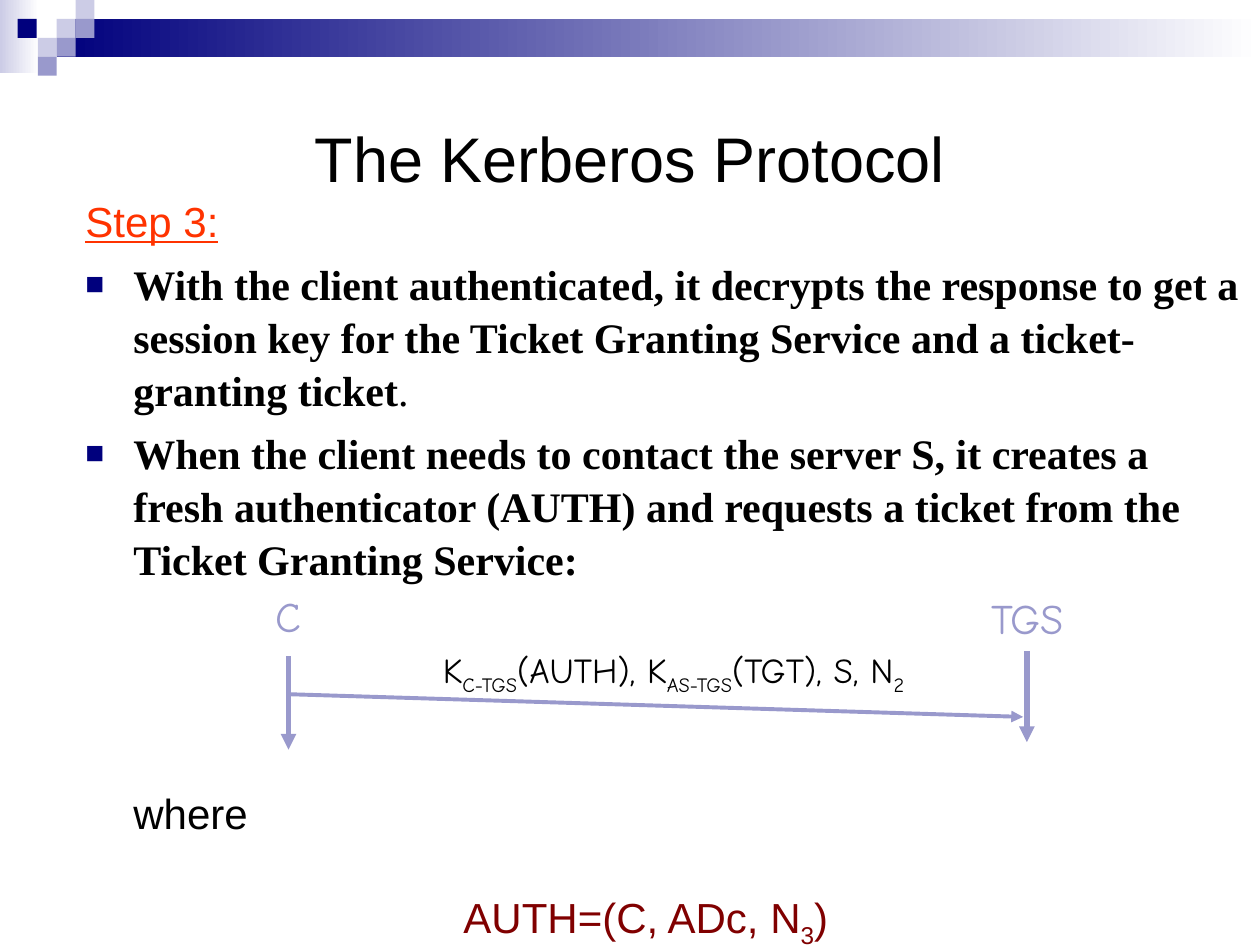
from lxml.etree import SubElement
from pptx import Presentation
from pptx.dml.color import RGBColor
from pptx.enum.shapes import MSO_CONNECTOR, MSO_SHAPE
from pptx.enum.text import MSO_ANCHOR, MSO_AUTO_SIZE, PP_ALIGN
from pptx.oxml.ns import qn
from pptx.util import Inches, Pt

COLORS = {
    "black": "000000",
    "navy": "00007D",
    "lilac": "9999CC",
    "pale": "CCCCE6",
    "white": "FFFFFF",
    "orange": "FF3300",
    "maroon": "800000",
}


def rgb(name):
    return RGBColor.from_string(COLORS[name])


def add_run(p, text, size=24, font="Arial", color="black", bold=False, underline=False, sub=False):
    r = p.add_run()
    r.text = text
    r.font.size = Pt(size)
    r.font.name = font
    r.font.color.rgb = rgb(color)
    r.font.bold = bold
    r.font.underline = underline
    if sub:
        r._r.get_or_add_rPr().set("baseline", "-25000")
    return r


class SlideBuilder:
    serif = "Times New Roman"
    hand = "Comic Neue"
    indent = 0.38

    def __init__(self, prs):
        self.slide = prs.slides.add_slide(prs.slide_layouts[5])

    def rect(self, left, top, width, height, color, fade_to=None):
        sp = self.slide.shapes.add_shape(
            MSO_SHAPE.RECTANGLE, Inches(left), Inches(top), Inches(width), Inches(height))
        sp.shadow.inherit = False
        sp.line.fill.background()
        if fade_to:
            sp.fill.gradient()
            sp.fill.gradient_angle = 0
            for stop, name in zip(sp.fill.gradient_stops, (color, fade_to)):
                stop.color.rgb = rgb(name)
        else:
            sp.fill.solid()
            sp.fill.fore_color.rgb = rgb(color)

    def title(self, text, left, top, width, height):
        sp = self.slide.shapes.title
        sp.left, sp.top, sp.width, sp.height = map(Inches, (left, top, width, height))
        tf = sp.text_frame
        tf.vertical_anchor = MSO_ANCHOR.MIDDLE
        p = tf.paragraphs[0]
        p.alignment = PP_ALIGN.CENTER
        add_run(p, text, size=36)

    def text_box(self, left, top, width, height, wrap=True):
        sp = self.slide.shapes.add_textbox(Inches(left), Inches(top), Inches(width), Inches(height))
        tf = sp.text_frame
        tf.word_wrap = wrap
        tf.auto_size = MSO_AUTO_SIZE.NONE if wrap else MSO_AUTO_SIZE.SHAPE_TO_FIT_TEXT
        return tf

    def label(self, left, top, width, height, runs, **style):
        p = self.text_box(left, top, width, height, wrap=False).paragraphs[0]
        p.alignment = PP_ALIGN.CENTER
        for text, sub in runs:
            add_run(p, text, font=self.hand, sub=sub, **style)

    def body(self, left, top, width, height, items):
        tf = self.text_box(left, top, width, height)
        for i, (margin, before, bullet, runs) in enumerate(items):
            p = tf.paragraphs[0] if i == 0 else tf.add_paragraph()
            p.line_spacing = 1.05
            p.space_before = Pt(before)
            pPr = p._p.get_or_add_pPr()
            pPr.set("marL", str(Inches(margin)))
            pPr.set("indent", str(-Inches(self.indent) if bullet else 0))
            if bullet:
                clr = SubElement(pPr, qn("a:buClr"))
                SubElement(clr, qn("a:srgbClr"), val=COLORS["navy"])
                SubElement(pPr, qn("a:buSzPct"), val="75000")
                SubElement(pPr, qn("a:buFont"), typeface="Arial")
                SubElement(pPr, qn("a:buChar"), char="■")
            for text, style in runs:
                add_run(p, text, **style)

    def arrow(self, x1, y1, x2, y2, width):
        cx = self.slide.shapes.add_connector(
            MSO_CONNECTOR.STRAIGHT, Inches(x1), Inches(y1), Inches(x2), Inches(y2))
        cx.line.color.rgb = rgb("lilac")
        cx.line.width = Pt(width)
        SubElement(cx.line._get_or_add_ln(), qn("a:tailEnd"), type="triangle")
        SubElement(cx._element.spPr, qn("a:effectLst"))


def main():
    prs = Presentation()
    prs.slide_width, prs.slide_height = Inches(10), Inches(7.5)
    s = SlideBuilder(prs)

    s.rect(0, 0, 0.31, 0.58, "pale", fade_to="white")
    s.rect(0.45, 0.15, 9.55, 0.3, "navy", fade_to="white")
    squares = [
        (0.45, 0.15, "pale"), (0.6, 0, "pale"), (0.6, 0.15, "lilac"), (0.3, 0.3, "pale"),
        (0.14, 0.15, "navy"), (0.45, 0.3, "lilac"), (0.3, 0.45, "lilac"),
    ]
    for left, top, color in squares:
        s.rect(left, top, 0.15, 0.15, color)

    s.title("The Kerberos Protocol", 0.5, 0.5, 9, 1.5)

    strong = {"font": s.serif, "bold": True}
    maroon = {"color": "maroon"}
    s.body(0.58, 1.48, 9.42, 6.02, [
        (0, 0, False, [("Step 3:", {"color": "orange", "underline": True})]),
        (s.indent, 6, True, [
            ("With the client authenticated, it decrypts the response to get a session key "
             "for the Ticket Granting Service and a ticket-granting ticket", strong),
            (".", {"font": s.serif})]),
        (s.indent, 6, True, [
            ("When the client needs to contact the server S, it creates a fresh authenticator "
             "(AUTH) and requests a ticket from the Ticket Granting Service:", strong)]),
        (s.indent, 115, False, [("where", {})]),
        (3, 29, False, [
            ("AUTH=(C, ADc, N", maroon), ("3", {**maroon, "sub": True}), (")", maroon)]),
    ])

    s.arrow(2.29, 5.21, 2.29, 5.95, 3)
    s.label(2.09, 4.64, 0.4, 0.5, [("C", False)], color="lilac")
    s.arrow(8.15, 5.17, 8.15, 5.89, 3)
    s.label(7.76, 4.65, 0.79, 0.5, [("TGS", False)], color="lilac")
    s.arrow(2.3, 5.51, 8.12, 5.69, 2.25)
    s.label(3.39, 5.1, 3.91, 0.48, [
        ("K", False), ("C-TGS", True), ("(AUTH), K", False),
        ("AS-TGS", True), ("(TGT), S, N", False), ("2", True)], size=20)

    prs.save("out.pptx")


if __name__ == "__main__":
    main()
